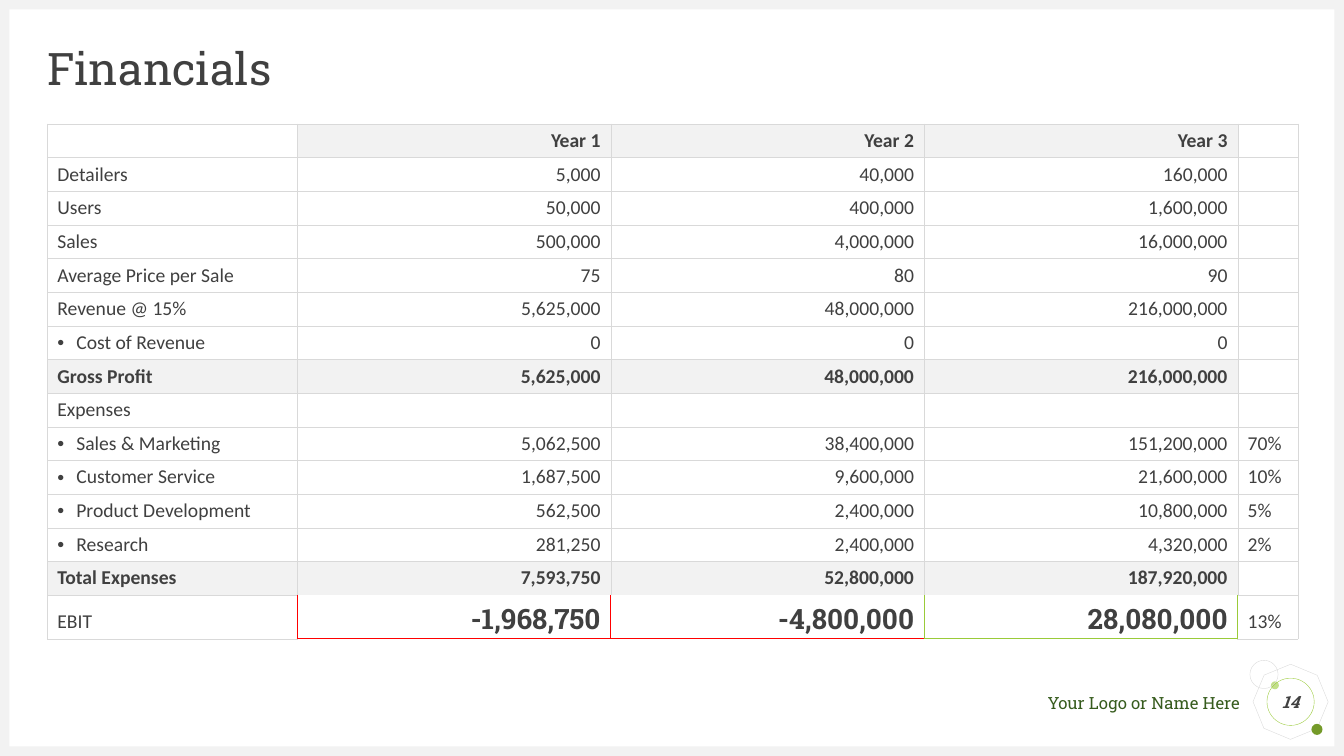
"""Build the Financials slide: a three-year table with a numbered corner badge."""
from lxml.etree import SubElement
from pptx import Presentation
from pptx.dml.color import RGBColor as RGB
from pptx.enum.shapes import MSO_SHAPE as Kind
from pptx.enum.text import MSO_ANCHOR as Anchor, PP_ALIGN as Align
from pptx.oxml.ns import qn
from pptx.util import Cm, Pt

HUES = {
    "ink": "404040", "pale": "F2F2F2", "white": "FFFFFF", "grid": "D9D9D9",
    "red": "FF0000", "lime": "9ACB39", "mint": "C2E088", "leaf": "749A29",
    "pine": "375C1E",
}
SANS, SLAB = "Calibri", "Roboto Slab"
ROWS = [
    ["", "Year 1", "Year 2", "Year 3", ""],
    ["Detailers", "5,000", "40,000", "160,000", ""],
    ["Users", "50,000", "400,000", "1,600,000", ""],
    ["Sales", "500,000", "4,000,000", "16,000,000", ""],
    ["Average Price per Sale", "75", "80", "90", ""],
    ["Revenue @ 15%", "5,625,000", "48,000,000", "216,000,000", ""],
    ["Cost of Revenue", "0", "0", "0", ""],
    ["Gross Profit", "5,625,000", "48,000,000", "216,000,000", ""],
    ["Expenses", "", "", "", ""],
    ["Sales & Marketing", "5,062,500", "38,400,000", "151,200,000", "70%"],
    ["Customer Service", "1,687,500", "9,600,000", "21,600,000", "10%"],
    ["Product Development", "562,500", "2,400,000", "10,800,000", "5%"],
    ["Research", "281,250", "2,400,000", "4,320,000", "2%"],
    ["Total Expenses", "7,593,750", "52,800,000", "187,920,000", ""],
    ["EBIT", "-1,968,750", "-4,800,000", "28,080,000", "13%"],
]
HEAD, TOTAL, EBIT = 0, 13, 14
BOLD = {HEAD, 7, TOTAL}
ITEMS = {6, 9, 10, 11, 12}
EDGES = ["grid", "red", "red", "lime", "lime", "grid"]


def write(frame, text, font, size, hue, align=Align.LEFT, bold=False):
    """Put one styled run in the first paragraph of a frame."""
    para = frame.paragraphs[0]
    para.alignment = align
    run = para.add_run()
    run.text = text
    run.font.name, run.font.size, run.font.bold = font, Pt(size), bold
    run.font.color.rgb = RGB.from_string(HUES[hue])
    return para


def draw(kind, box, fill=None, line=None):
    """Add a plain preset shape at a box given in centimetres."""
    shape = slide.shapes.add_shape(kind, *map(Cm, box))
    shape.shadow.inherit = False
    if fill:
        shape.fill.solid()
        shape.fill.fore_color.rgb = RGB.from_string(HUES[fill])
    else:
        shape.fill.background()
    if line:
        shape.line.color.rgb = RGB.from_string(HUES[line])
        shape.line.width = Pt(0.25)
    else:
        shape.line.fill.background()
    return shape


deck = Presentation()
deck.slide_width, deck.slide_height = Cm(33.87), Cm(19.05)
slide = deck.slides.add_slide(deck.slide_layouts[6])

draw(Kind.OCTAGON, (31.65, 16.81, 1.75, 1.75), line="grid").rotation = 22.7
draw(Kind.OVAL, (32.03, 17.17, 0.2, 0.2), fill="mint")
draw(Kind.OVAL, (33.05, 18.24, 0.28, 0.28), fill="leaf")
draw(Kind.OVAL, (31.5, 16.64, 0.71, 0.71), line="grid")
for bar in [(0, 18.81, 33.87, 0.24), (0, 0, 33.87, 0.24),
            (0, 0, 0.24, 19.05), (33.63, 0, 0.24, 19.05)]:
    draw(Kind.RECTANGLE, bar, fill="pale")

title = slide.shapes.add_textbox(Cm(1.19), Cm(1.19), Cm(31.5), Cm(1.19)).text_frame
brand = slide.shapes.add_textbox(Cm(24.26), Cm(17.45), Cm(6.99), Cm(0.51)).text_frame
badge = draw(Kind.OVAL, (31.93, 17.09, 1.19, 1.19), line="lime").text_frame
for frame in (title, brand, badge):
    frame.margin_left = frame.margin_right = 0
    frame.margin_top = frame.margin_bottom = 0
    frame.word_wrap = True
title.vertical_anchor = badge.vertical_anchor = Anchor.MIDDLE
write(title, "Financials", SLAB, 32, "ink").line_spacing = 0.9
write(brand, "Your Logo or Name Here", SLAB, 12, "pine", Align.RIGHT)
page = write(badge, "14", SLAB, 12, "ink", Align.CENTER, True)
page.runs[0].font.italic = True

table = slide.shapes.add_table(
    len(ROWS), 5, Cm(1.19), Cm(3.12), Cm(31.52), Cm(12.83)).table
table.first_row = table.horz_banding = False
for col, width in zip(table.columns, (6.3, 7.9, 7.9, 7.9, 1.52)):
    col.width = Cm(width)
for r, row in enumerate(ROWS):
    table.rows[r].height = Cm(1.07 if r == EBIT else 0.84)
    for c, text in enumerate(row):
        cell = table.cell(r, c)
        cell.vertical_anchor = Anchor.BOTTOM
        mid = 1 <= c <= 3
        para = cell.text_frame.paragraphs[0]
        if text:
            big = r == EBIT and mid
            write(cell.text_frame, text, SLAB if big else SANS, 20 if big else 14,
                  "ink", Align.RIGHT if mid else Align.LEFT, big or r in BOLD)
        else:
            SubElement(para._p, qn("a:endParaRPr"), sz="1400")
        if c == 0 and r in ITEMS:
            props = para._p.get_or_add_pPr()
            props.set("marL", str(Cm(0.48)))
            props.set("indent", str(-Cm(0.48)))
            SubElement(props, qn("a:buFont"), typeface="Arial")
            SubElement(props, qn("a:buChar"), char="•")

        sides = dict.fromkeys(("lnL", "lnR", "lnT", "lnB"), "grid")
        if r == EBIT:
            sides["lnL"] = EDGES[c]
            sides["lnR"] = EDGES[c + 1]
        if r == TOTAL and mid:
            sides["lnB"] = None
        if r == EBIT and mid:
            sides["lnT"], sides["lnB"] = None, EDGES[c]
        props = cell._tc.get_or_add_tcPr()
        for side, hue in sides.items():
            width = Pt(0.25 if hue == "grid" else 1)
            line = SubElement(props, qn("a:" + side), w=str(width))
            if hue:
                paint = SubElement(line, qn("a:solidFill"))
                SubElement(paint, qn("a:srgbClr"), val=HUES[hue])
            else:
                SubElement(line, qn("a:noFill"))
        shade = r in BOLD and (mid or (c == 0 and r != HEAD))
        cell.fill.solid()
        cell.fill.fore_color.rgb = RGB.from_string(HUES["pale" if shade else "white"])

deck.save("out.pptx")
